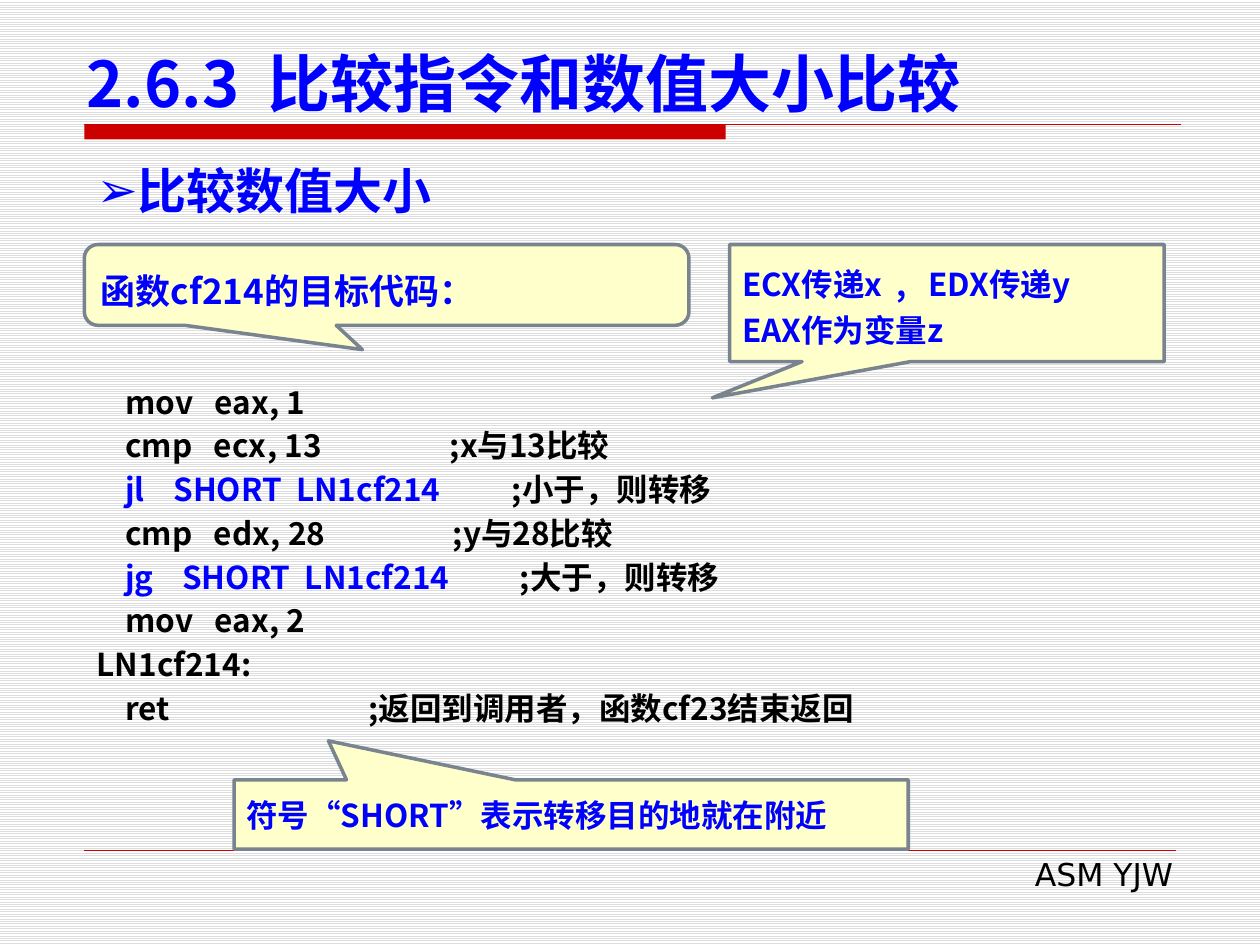
"""Build the slide on compare instructions and comparing the size of values."""
from dataclasses import dataclass

from lxml.etree import SubElement
from pptx import Presentation
from pptx.dml.color import RGBColor
from pptx.enum.dml import MSO_PATTERN
from pptx.enum.shapes import MSO_CONNECTOR, MSO_SHAPE
from pptx.enum.text import MSO_ANCHOR, PP_ALIGN
from pptx.oxml.ns import qn
from pptx.util import Cm, Pt


@dataclass(frozen=True)
class Theme:
    blue: RGBColor = RGBColor(0x00, 0x00, 0xFF)
    black: RGBColor = RGBColor(0x00, 0x00, 0x00)
    red: RGBColor = RGBColor(0xCC, 0x00, 0x00)
    cream: RGBColor = RGBColor(0xFF, 0xFF, 0xCC)
    slate: RGBColor = RGBColor(0x79, 0x84, 0x8F)
    stripe: RGBColor = RGBColor(0xDD, 0xDD, 0xDD)
    white: RGBColor = RGBColor(0xFF, 0xFF, 0xFF)
    title: int = 36
    heading: int = 28
    lead: int = 20
    body: int = 18
    sans: str = "DejaVu Sans"
    chinese: str = "Noto Sans CJK SC"


theme = Theme()


def add_run(paragraph, text, size, color, bold=True, name=theme.chinese):
    run = paragraph.add_run()
    run.text = text
    for attribute, value in {"size": Pt(size), "bold": bold, "name": name}.items():
        setattr(run.font, attribute, value)
    run.font.color.rgb = color
    SubElement(run.font._element, qn("a:ea"), typeface=theme.chinese)


def add_text_box(slide, place, anchor=MSO_ANCHOR.TOP):
    text_frame = slide.shapes.add_textbox(*map(Cm, place)).text_frame
    text_frame.word_wrap = True
    text_frame.vertical_anchor = anchor
    return text_frame


presentation = Presentation()
presentation.slide_width, presentation.slide_height = Cm(25.4), Cm(19.05)
slide = presentation.slides.add_slide(presentation.slide_layouts[6])
background = slide.background.fill
background.patterned()
background.pattern = MSO_PATTERN.LIGHT_HORIZONTAL
background.fore_color.rgb = theme.stripe
background.back_color.rgb = theme.white

title_bar = slide.shapes.add_shape(MSO_SHAPE.RECTANGLE, Cm(1.7), Cm(2.51), Cm(12.93), Cm(0.3))
title_bar.shadow.inherit = False
title_bar.fill.solid()
title_bar.fill.fore_color.rgb = theme.red
title_bar.line.fill.background()

for top, right, width in ((2.51, 23.8, 0.75), (17.15, 23.7, 0.25)):
    rule = slide.shapes.add_connector(MSO_CONNECTOR.STRAIGHT, Cm(1.7), Cm(top), Cm(right), Cm(top))
    rule.line.color.rgb = theme.red
    rule.line.width = Pt(width)
    SubElement(rule._element.spPr, qn("a:effectLst"))

footer = add_text_box(slide, (9.7, 17.12, 14.2, 1.02)).paragraphs[0]
footer.alignment = PP_ALIGN.RIGHT
add_run(footer, "ASM YJW", theme.body, theme.black, bold=False, name=theme.sans)

title = add_text_box(slide, (1.5, 0.74, 23, 1.8), MSO_ANCHOR.BOTTOM).paragraphs[0]
add_run(title, "2.6.3  比较指令和数值大小比较", theme.title, theme.blue)

heading = add_text_box(slide, (1.7, 3.12, 22, 1.45)).paragraphs[0]
heading.alignment = PP_ALIGN.JUSTIFY
heading_format = heading._p.get_or_add_pPr()
SubElement(heading_format, qn("a:buFont"), typeface=theme.sans)
SubElement(heading_format, qn("a:buChar"), char="➢")
add_run(heading, "比较数值大小", theme.heading, theme.blue, name=theme.sans)

code_lines = [
    ("    mov   eax, 1", None, None),
    ("    cmp   ecx, 13", ";x与13比较", 7.12),
    ("    jl    SHORT  LN1cf214", ";小于，则转移", 8.37),
    ("    cmp   edx, 28", ";y与28比较", 7.18),
    ("    jg    SHORT  LN1cf214", ";大于，则转移", 8.53),
    ("    mov   eax, 2", None, None),
    ("LN1cf214:", None, None),
    ("    ret", ";返回到调用者，函数cf23结束返回", 5.48),
]
code_frame = add_text_box(slide, (1.7, 7.47, 22.2, 7.26))
for index, (code, comment, tab_stop) in enumerate(code_lines):
    paragraph = code_frame.add_paragraph() if index else code_frame.paragraphs[0]
    paragraph.line_spacing = Pt(25)
    if comment:
        tab_list = SubElement(paragraph._p.get_or_add_pPr(), qn("a:tabLst"))
        SubElement(tab_list, qn("a:tab"), pos=str(Cm(tab_stop)), algn="l")
    add_run(paragraph, code, theme.body, theme.blue if "SHORT" in code else theme.black)
    if comment:
        add_run(paragraph, "\t" + comment, theme.body, theme.black)

callouts = [
    (MSO_SHAPE.RECTANGULAR_CALLOUT, (4.72, 15.72, 13.59, 1.4), (-0.36, -1.06),
     theme.body, None, ["符号“SHORT”表示转移目的地就在附近"]),
    (MSO_SHAPE.RECTANGULAR_CALLOUT, (14.71, 4.93, 8.76, 2.36), (-0.54, 0.81),
     theme.body, Pt(26), ["ECX传递x  ,   EDX传递y", "EAX作为变量z"]),
    (MSO_SHAPE.ROUNDED_RECTANGULAR_CALLOUT, (1.7, 4.93, 12.19, 1.63), (-0.04, 0.8, 0.17),
     theme.lead, Pt(30), ["函数cf214的目标代码："]),
]
for kind, place, adjustments, size, spacing, lines in callouts:
    callout = slide.shapes.add_shape(kind, *map(Cm, place))
    callout.shadow.inherit = False
    for index, value in enumerate(adjustments):
        callout.adjustments[index] = value
    callout.fill.solid()
    callout.fill.fore_color.rgb = theme.cream
    callout.line.color.rgb = theme.slate
    callout.line.width = Pt(2)
    text_frame = callout.text_frame
    text_frame.word_wrap = True
    text_frame.vertical_anchor = MSO_ANCHOR.MIDDLE
    for index, line in enumerate(lines):
        paragraph = text_frame.add_paragraph() if index else text_frame.paragraphs[0]
        for attribute, value in {"alignment": PP_ALIGN.LEFT, "line_spacing": spacing}.items():
            setattr(paragraph, attribute, value)
        add_run(paragraph, line, size, theme.blue)

presentation.save("out.pptx")
